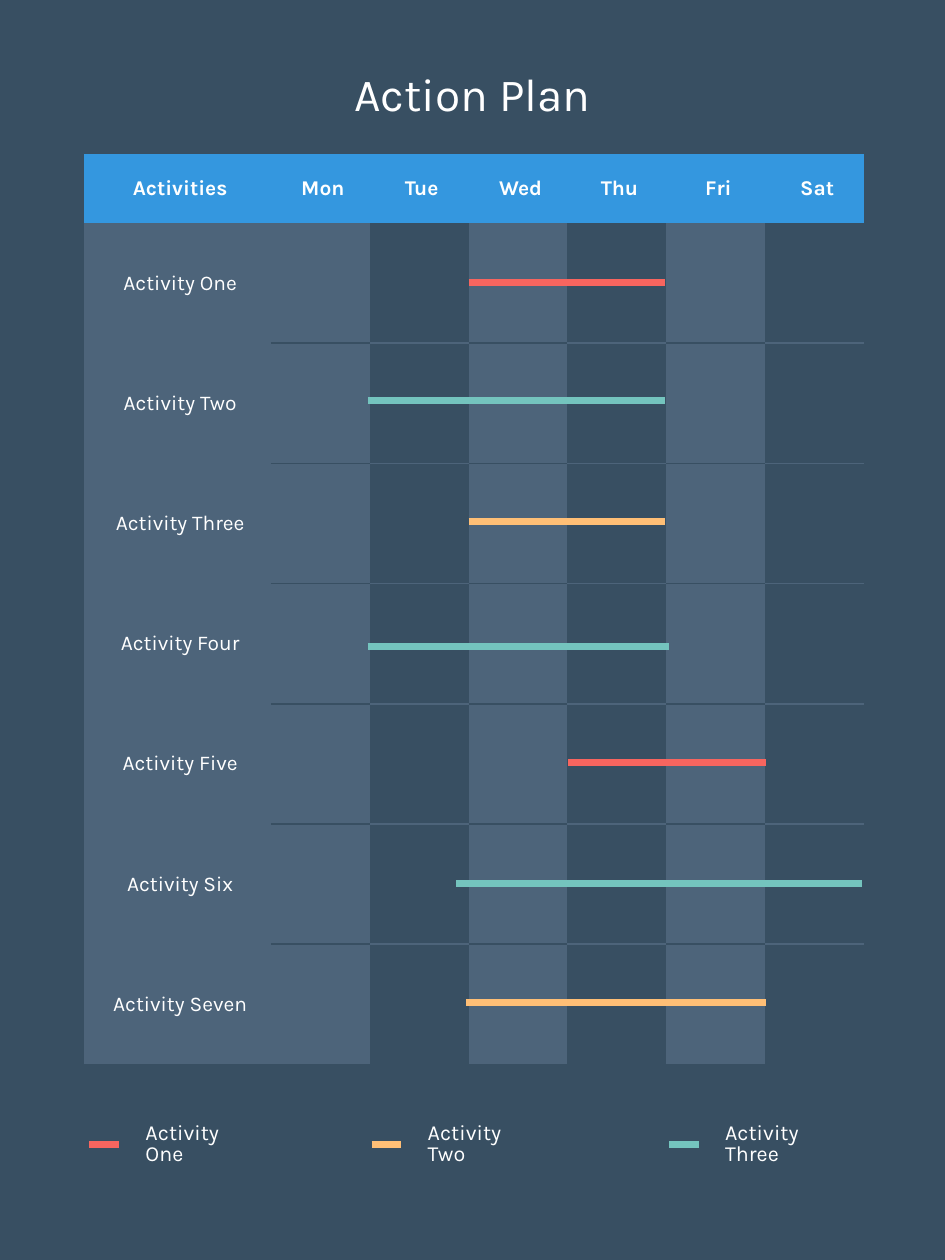
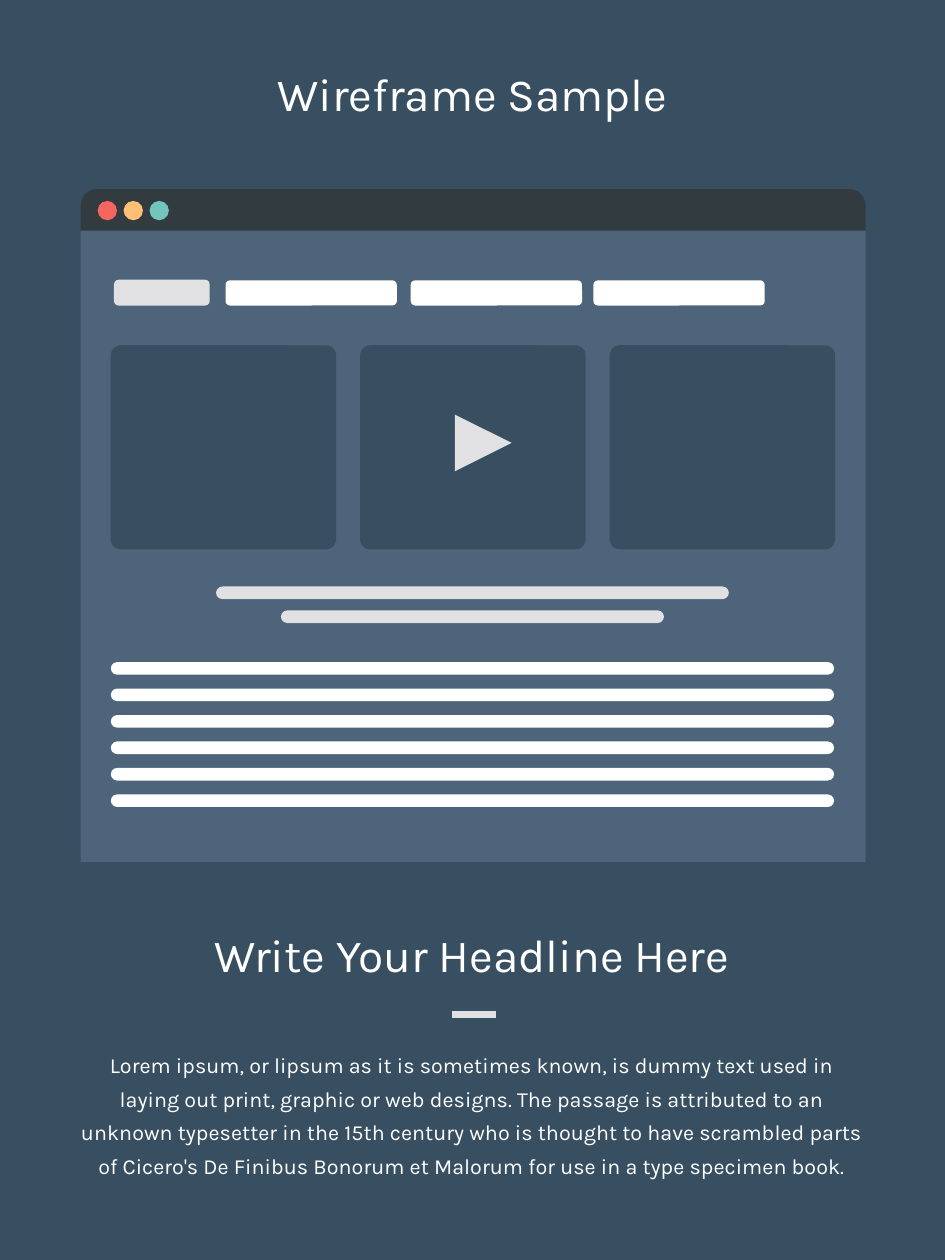
from lxml.etree import SubElement
from pptx import Presentation
from pptx.dml.color import RGBColor
from pptx.enum.shapes import MSO_CONNECTOR, MSO_SHAPE
from pptx.enum.text import MSO_ANCHOR, MSO_AUTO_SIZE, PP_ALIGN
from pptx.oxml import parse_xml
from pptx.oxml.ns import nsdecls, qn
from pptx.util import Inches, Pt

COLS, ROWS = 75, 100
WIDTH, HEIGHT = Inches(7.5), Inches(10)
NAVY, SLATE, BLUE, DARK = "384F62", "4D647A", "3497DF", "323C40"
RED, AMBER, TEAL = "F7655F", "FFBF76", "74C4BE"
WHITE, PALE = "FFFFFF", "E1E1E3"
FONT = "Karla"
BIG, SMALL = 26.3, 12.3

DAYS = ["Mon", "Tue", "Wed", "Thu", "Fri", "Sat"]
TASKS = [
    ("Activity One", 37.2, 52.8, 22.4, RED),
    ("Activity Two", 29.2, 52.8, 31.8, TEAL),
    ("Activity Three", 37.2, 52.8, 41.4, AMBER),
    ("Activity Four", 29.2, 53.1, 51.3, TEAL),
    ("Activity Five", 45.1, 60.8, 60.5, RED),
    ("Activity Six", 36.2, 68.4, 70.1, TEAL),
    ("Activity Seven", 37, 60.8, 79.6, AMBER),
]
LEGEND = [
    ("Activity One", 7.1, 8.6, RED),
    ("Activity Two", 29.5, 8.6, AMBER),
    ("Activity Three", 53.1, 9.7, TEAL),
]
STORY = (
    "Lorem ipsum, or lipsum as it is sometimes known, is dummy text used in "
    "laying out print, graphic or web designs. The passage is attributed to an "
    "unknown typesetter in the 15th century who is thought to have scrambled "
    "parts of Cicero's De Finibus Bonorum et Malorum for use in a type "
    "specimen book."
)


def across(cols):
    return round(WIDTH * cols / COLS)


def down(rows):
    return round(HEIGHT * rows / ROWS)


def place(x, y, w, h):
    return across(x), down(y), across(w), down(h)


def paint(target, color):
    if hasattr(target, "solid"):
        target.solid()
        target = target.fore_color
    else:
        target = target.color
    target.rgb = RGBColor.from_string(color)


def write(frame, text, size=SMALL, align=PP_ALIGN.CENTER, bold=False,
          spacing=0.8, anchor=MSO_ANCHOR.MIDDLE, color=WHITE):
    frame.text = text
    frame.word_wrap = True
    frame.vertical_anchor = anchor
    para = frame.paragraphs[0]
    para.alignment = align
    para.line_spacing = spacing
    font = para.runs[0].font
    font.name, font.size, font.bold = FONT, Pt(size), bold
    paint(font, color)


def fit(frame):
    frame.auto_size = MSO_AUTO_SIZE.NONE
    frame.margin_left = frame.margin_right = 0
    frame.margin_top = frame.margin_bottom = 0


def label(slide, box, text, **style):
    frame = slide.shapes.add_textbox(*place(*box)).text_frame
    fit(frame)
    write(frame, text, **style)


def start(deck, text):
    slide = deck.slides.add_slide(deck.slide_layouts[5])
    title = slide.shapes.title
    title.left, title.top, title.width, title.height = place(6.7, 6, 61.6, 3.6)
    fit(title.text_frame)
    write(title.text_frame, text, size=BIG)
    return slide


def shape(slide, box, color, kind=MSO_SHAPE.ROUNDED_RECTANGLE, curve=None):
    item = slide.shapes.add_shape(kind, *place(*box))
    item.shadow.inherit = False
    paint(item.fill, color)
    item.line.fill.background()
    if curve is not None:
        item.adjustments[0] = curve
    return item


def stroke(slide, left, right, y, color):
    line = slide.shapes.add_connector(
        MSO_CONNECTOR.STRAIGHT, across(left), down(y), across(right), down(y))
    paint(line.line.fill, color)
    line.line.width = Pt(4)
    SubElement(line._element.spPr, qn("a:effectLst"))


def border(cell, top, bottom):
    props = cell._tc.get_or_add_tcPr()
    sides = {"lnL": None, "lnR": None, "lnT": top, "lnB": bottom}
    for index, (side, color) in enumerate(sides.items()):
        ink = (f'<a:solidFill><a:srgbClr val="{color}"/></a:solidFill>'
               if color else "<a:noFill/>")
        props.insert(index, parse_xml(
            f'<a:{side} {nsdecls("a")} w="12700">{ink}</a:{side}>'))


def fill(cell, text, color, bold=False, top=None, bottom=None):
    paint(cell.fill, color)
    border(cell, top, bottom)
    cell.margin_left = cell.margin_right = across(1.7)
    cell.margin_top = cell.margin_bottom = down(1.7)
    if text:
        write(cell.text_frame, text, size=12, bold=bold, spacing=1)
        cell.vertical_anchor = MSO_ANCHOR.MIDDLE
        props = cell.text_frame.paragraphs[0]._p.get_or_add_pPr()
        props.set("marL", str(across(0.4)))


def grid(slide):
    count = len(TASKS)
    table = slide.shapes.add_table(
        count + 1, len(DAYS) + 1, *place(6.7, 12.2, 61.9, 72.3)).table
    table.first_row = table.horz_banding = False
    for index, column in enumerate(table.columns):
        column.width = across(7.85 if index else 14.8)
    for index, row in enumerate(table.rows):
        row.height = down(9.54 if index else 5.5)
    for index, text in enumerate(["Activities"] + DAYS):
        fill(table.cell(0, index), text, BLUE, bold=True)
    for row, task in enumerate(TASKS, 1):
        fill(table.cell(row, 0), task[0], SLATE)
        for col in range(1, len(DAYS) + 1):
            back, rule = (SLATE, NAVY) if col % 2 else (NAVY, SLATE)
            fill(table.cell(row, col), "", back,
                 top=rule if row > 1 else None,
                 bottom=rule if row < count else None)


def plan(deck):
    slide = start(deck, "Action Plan")
    grid(slide)
    for _, left, right, y, color in TASKS:
        stroke(slide, left, right, y, color)
    for text, left, width, color in LEGEND:
        stroke(slide, left, left + 2.35, 90.8, color)
        label(slide, (left + 4.45, 90, width, 1.7), text, align=PP_ALIGN.LEFT)


def window(slide):
    shape(slide, (6.4, 15, 62.3, 4.5), DARK, curve=0.29)
    shape(slide, (6.4, 18.3, 62.3, 50.1), SLATE, kind=MSO_SHAPE.RECTANGLE)
    for index, color in enumerate([RED, AMBER, TEAL]):
        shape(slide, (7.75 + 2.06 * index, 15.95, 1.53, 1.53), color,
              kind=MSO_SHAPE.OVAL)
    shape(slide, (9.05, 22.2, 7.6, 2.05), PALE, curve=0.18)
    for left in (17.9, 32.6, 47.1):
        shape(slide, (left, 22.25, 13.6, 2), WHITE, curve=0.18)
    for index in range(3):
        shape(slide, (8.78 + 19.8 * index, 27.4, 17.9, 16.2), NAVY, curve=0.05)
    play = shape(slide, (36.1, 32.9, 4.5, 4.5), PALE,
                 kind=MSO_SHAPE.ISOSCELES_TRIANGLE)
    play.rotation = 90
    for index, width in enumerate([40.7, 30.4]):
        shape(slide, ((COLS - width) / 2, 46.55 + 1.9 * index, width, 1),
              PALE, curve=0.5)
    for index in range(6):
        shape(slide, (8.8, 52.55 + 2.1 * index, 57.4, 1), WHITE, curve=0.5)


def sample(deck):
    slide = start(deck, "Wireframe Sample")
    window(slide)
    label(slide, (6.4, 74.3, 62.1, 3.6), "Write Your Headline Here", size=BIG)
    stroke(slide, 35.9, 39.4, 80.5, PALE)
    label(slide, (6.4, 82.9, 62.1, 10.6), STORY, spacing=1.3,
          anchor=MSO_ANCHOR.TOP)


def main():
    deck = Presentation()
    deck.slide_width, deck.slide_height = WIDTH, HEIGHT
    paint(deck.slide_master.background.fill, NAVY)
    plan(deck)
    sample(deck)
    deck.save("out.pptx")


if __name__ == "__main__":
    main()
